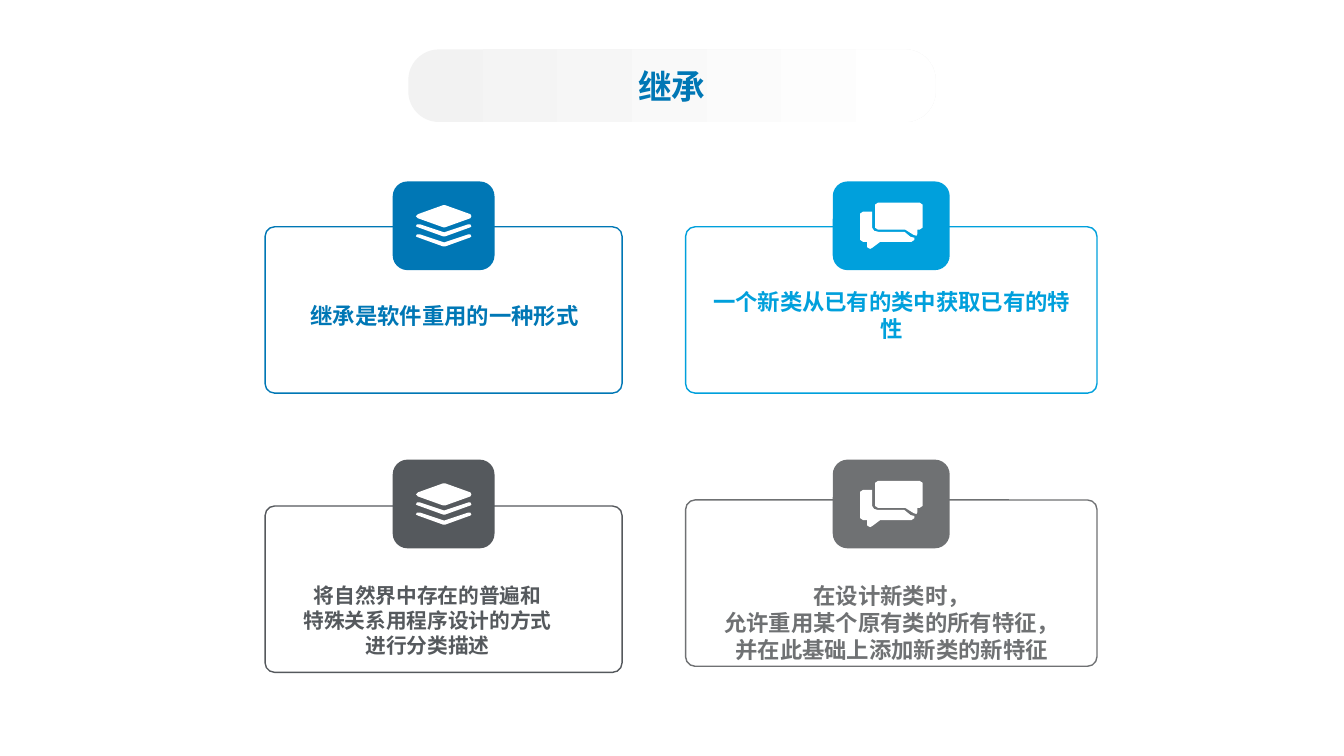
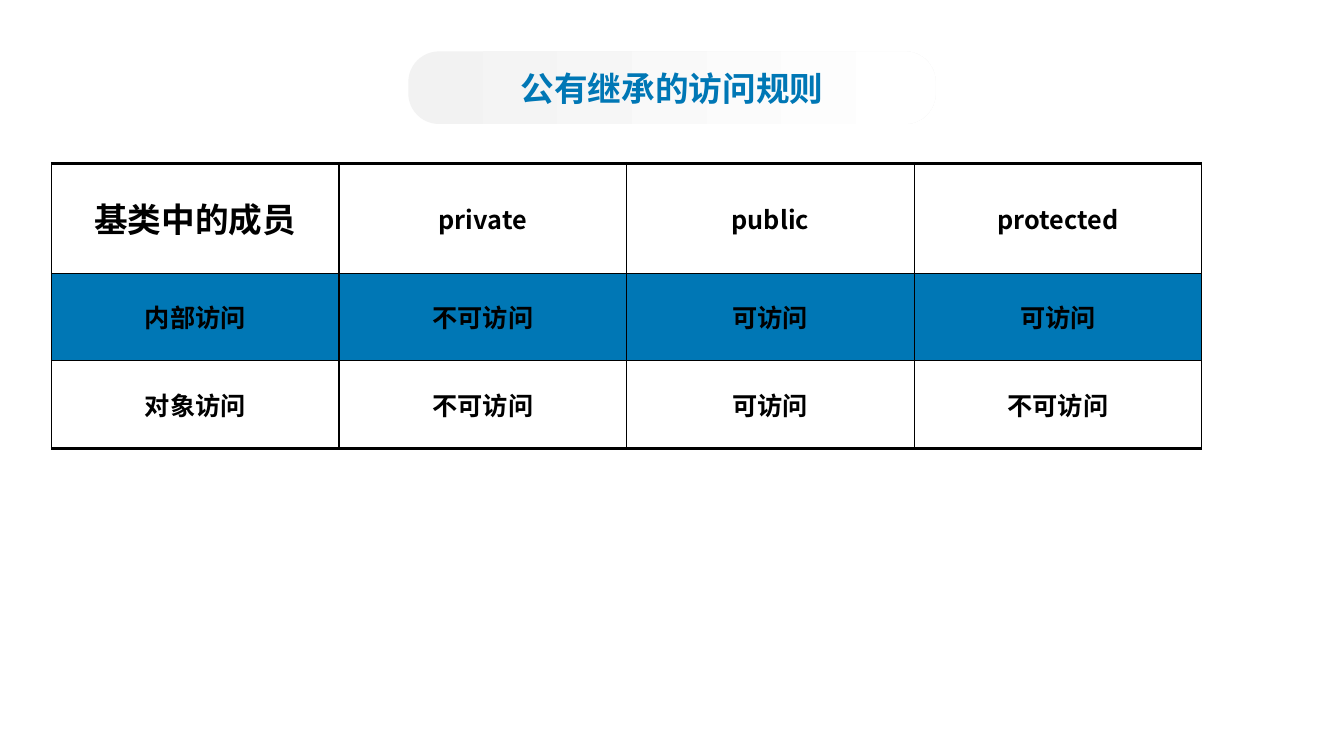
from dataclasses import dataclass

from lxml import etree
from pptx import Presentation
from pptx.dml.color import RGBColor
from pptx.enum.shapes import MSO_SHAPE
from pptx.enum.text import MSO_ANCHOR, PP_ALIGN
from pptx.oxml.ns import qn
from pptx.util import Inches, Pt

ROUND = MSO_SHAPE.ROUNDED_RECTANGLE
MIDDLE = MSO_ANCHOR.MIDDLE
CENTER = PP_ALIGN.CENTER
TITLE_ONLY = 5


@dataclass(frozen=True)
class Theme:
    blue: str = "0077B5"
    sky: str = "00A0DC"
    dark: str = "55595D"
    gray: str = "6F7173"
    black: str = "000000"
    white: str = "FFFFFF"
    pale: str = "F2F2F2"
    latin: str = "Arial"
    cjk: str = "Noto Sans CJK SC"
    head: float = 24
    cell: float = 18
    body: float = 16
    small: float = 14.8
    thin: float = 1
    thick: float = 2.25


THEME = Theme()

FRONT = [(54, 13), (29, 22), (27, 22), (2, 13), (0, 11), (2, 9),
         (27, 0), (29, 0), (54, 9), (55, 11)]
SHEET = [(54, 22), (29, 31), (27, 31), (2, 22), (0, 21), (1, 19),
         (4, 19), (28, 27), (52, 19), (54, 19), (55, 21)]
STACK = [FRONT, SHEET, [(x, y + 10) for x, y in SHEET]]
CHAT = [
    [(59, 27), (57, 27), (57, 31), (56, 33), (53, 32), (45, 27), (18, 27),
     (15, 25), (15, 2), (18, 0), (59, 0), (62, 2), (62, 25)],
    [(44, 29), (50, 34), (54, 35), (54, 37), (51, 39), (20, 39), (12, 45),
     (10, 46), (8, 45), (7, 44), (7, 39), (3, 39), (0, 37), (0, 11),
     (3, 9), (12, 9), (12, 25), (14, 28), (18, 29)],
]

LEFT = {"left": 2.63, "width": 3.54, "tile": 1.01, "icon": STACK}
RIGHT = {"left": 6.8, "width": 4.08, "tile": 1.16, "icon": CHAT}
CARDS = [
    (LEFT, 1.8, 2.25, THEME.blue, (2.8, 3, 3.22, 0.74), THEME.body,
     ["继承是软件重用的一种形式"]),
    (RIGHT, 1.8, 2.25, THEME.sky, (6.99, 2.86, 3.71, 0.88), THEME.body,
     ["一个新类从已有的类中获取已有的特性"]),
    (LEFT, 4.56, 5.02, THEME.dark, (2.63, 5.78, 3.22, 0.7), THEME.small,
     ["将自然界中存在的普遍和", "特殊关系用程序设计的方式", "进行分类描述"]),
    (RIGHT, 4.56, 4.96, THEME.gray, (6.99, 5.78, 3.71, 0.79), THEME.body,
     ["在设计新类时，", "允许重用某个原有类的所有特征，", "并在此基础上添加新类的新特征"]),
]
RULES = [
    ["基类中的成员", "private", "public", "protected"],
    ["内部访问", "不可访问", "可访问", "可访问"],
    ["对象访问", "不可访问", "可访问", "不可访问"],
]


def rgb(code):
    return RGBColor.from_string(code)


def apply(target, form):
    for name, value in form.items():
        setattr(target, name, value)


def write(frame, lines, size, color, face=THEME.cjk, lead=None):
    for num, line in enumerate(lines):
        para = frame.add_paragraph() if num else frame.paragraphs[0]
        apply(para, {"alignment": CENTER, "line_spacing": lead})
        run = para.add_run()
        run.text = line
        apply(run.font, {"name": face, "size": Pt(size), "bold": True})
        run.font.color.rgb = rgb(color)
        east = etree.Element(qn("a:ea"), typeface=THEME.cjk)
        run.font._element.find(qn("a:latin")).addnext(east)


def panel(slide, box, fill=None, line=None, bend=None):
    shape = slide.shapes.add_shape(ROUND, *map(Inches, box))
    shape.shadow.inherit = False
    if bend is not None:
        shape.adjustments[0] = bend
    if fill:
        shape.fill.solid()
        shape.fill.fore_color.rgb = rgb(fill)
    else:
        shape.fill.background()
    if line:
        shape.line.color.rgb = rgb(line)
        shape.line.width = Pt(THEME.thin)
    else:
        shape.line.fill.background()
    return shape


def heading(slide, text, top):
    box = (4.05, top, 5.23, 0.72)
    band = panel(slide, box, bend=0.423)
    band.fill.gradient()
    band.fill.gradient_angle = 0
    for stop, (place, color) in zip(
            band.fill.gradient_stops, [(0, THEME.pale), (0.99, THEME.white)]):
        stop.position = place
        stop.color.rgb = rgb(color)
    title = slide.shapes.title
    title._element.addprevious(band._element)
    names = ("left", "top", "width", "height")
    apply(title, dict(zip(names, map(Inches, box))))
    apply(title.text_frame, {"vertical_anchor": MIDDLE, "word_wrap": True})
    write(title.text_frame, [text], THEME.head, THEME.blue)


def icon(slide, loops, mid, level):
    wide = max(x for loop in loops for x, _ in loop)
    high = max(y for loop in loops for _, y in loop)
    pen = slide.shapes.build_freeform(*loops[0][0], scale=Inches(0.01))
    for num, loop in enumerate(loops):
        if num:
            pen.move_to(*loop[0])
        pen.add_line_segments(loop[1:], close=True)
    shape = pen.convert_to_shape(
        Inches(mid - wide / 200), Inches(level - high / 200))
    shape.shadow.inherit = False
    shape.fill.solid()
    shape.fill.fore_color.rgb = rgb(THEME.white)
    shape.line.fill.background()


def card(slide, side, top, edge, color, area, size, lines):
    left, width, tile = side["left"], side["width"], side["tile"]
    mid, high = left + width / 2, 0.88
    panel(slide, (left, edge, width, 1.65), line=color, bend=0.057)
    panel(slide, (mid - tile / 2, top, tile, high), fill=color)
    icon(slide, side["icon"], mid, top + high / 2)
    frame = slide.shapes.add_textbox(*map(Inches, area)).text_frame
    pads = ("margin_left", "margin_top", "margin_right", "margin_bottom")
    apply(frame, {**dict.fromkeys(pads, 0), "word_wrap": False})
    write(frame, lines, size, color, THEME.latin, Pt(size * 1.2))


def border(cell, widths):
    props = cell._tc.get_or_add_tcPr()
    for spot, (side, width) in enumerate(widths.items()):
        line = etree.Element(qn(f"a:ln{side}"), w=str(Pt(width)))
        fill = etree.SubElement(line, qn("a:solidFill"))
        etree.SubElement(fill, qn("a:srgbClr"), val=THEME.black)
        props.insert(spot, line)


def grid(slide, rows, box, heights):
    last = len(rows) - 1
    table = slide.shapes.add_table(
        len(rows), len(rows[0]), *map(Inches, box)).table
    apply(table, {"first_row": False, "horz_banding": False})
    for r, (row, high) in enumerate(zip(rows, heights)):
        table.rows[r].height = Inches(high)
        for c, text in enumerate(row):
            cell = table.cell(r, c)
            cell.vertical_anchor = MIDDLE
            if r == 1:
                cell.fill.solid()
                cell.fill.fore_color.rgb = rgb(THEME.blue)
            else:
                cell.fill.background()
            border(cell, {
                "L": THEME.thin, "R": THEME.thin,
                "T": THEME.thin if r else THEME.thick,
                "B": THEME.thick if r == last else THEME.thin})
            size = THEME.cell if r or c else THEME.head
            write(cell.text_frame, [text], size, THEME.black)


def main():
    deck = Presentation()
    apply(deck, {"slide_width": Inches(13.33), "slide_height": Inches(7.5)})
    layout = deck.slide_layouts[TITLE_ONLY]

    slide = deck.slides.add_slide(layout)
    heading(slide, "继承", 0.49)
    for item in CARDS:
        card(slide, *item)

    slide = deck.slides.add_slide(layout)
    heading(slide, "公有继承的访问规则", 0.51)
    grid(slide, RULES, (0.51, 1.62, 11.41, 2.83), (1.09, 0.87, 0.87))

    deck.save("out.pptx")


if __name__ == "__main__":
    main()
